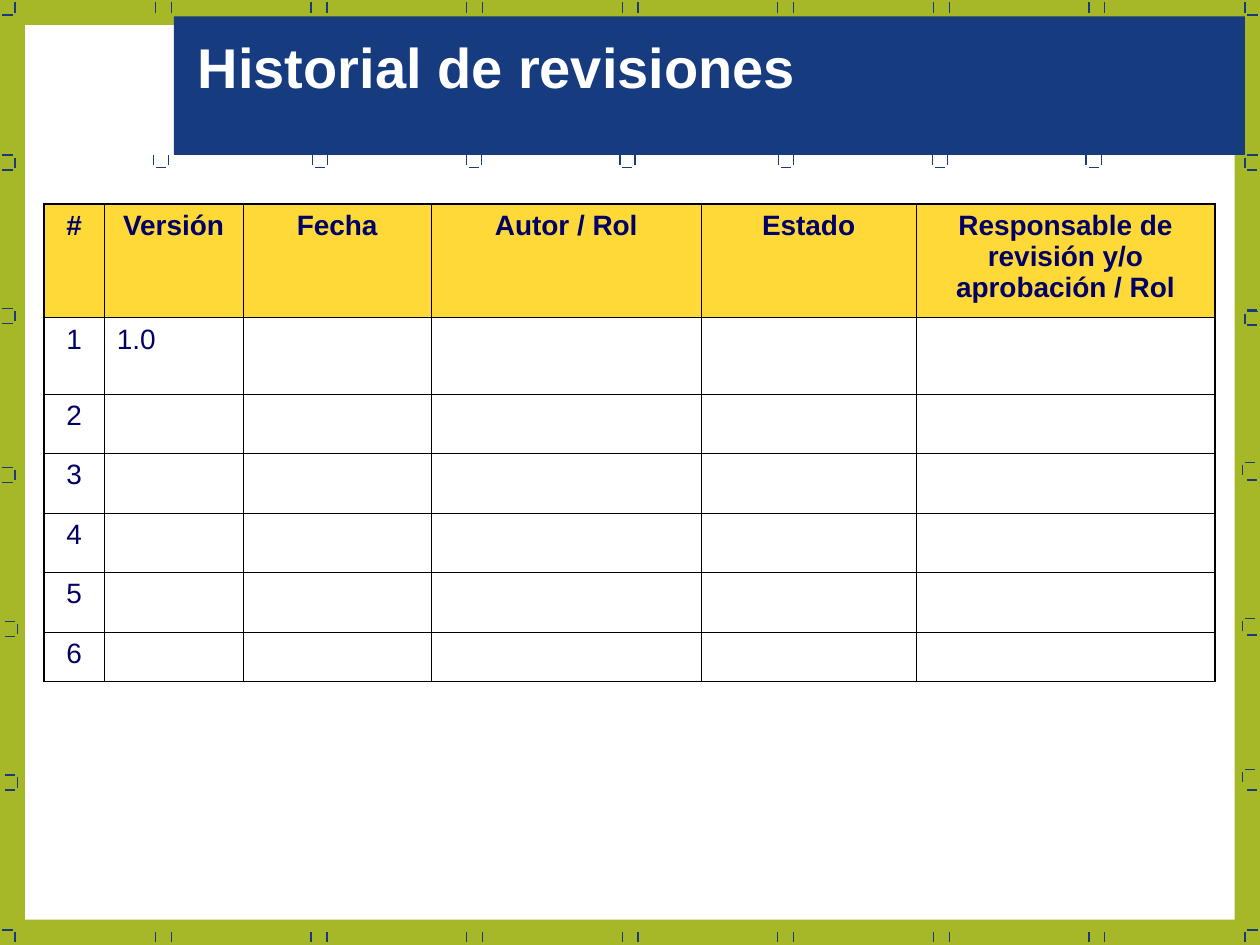
"""Build the revision history slide with its framed border and table."""
from dataclasses import dataclass

from lxml.etree import SubElement
from pptx import Presentation
from pptx.dml.color import RGBColor
from pptx.enum.shapes import MSO_CONNECTOR as Connector, MSO_SHAPE as Shape
from pptx.enum.text import MSO_ANCHOR as Anchor, MSO_AUTO_SIZE as AutoSize, PP_ALIGN as Align
from pptx.oxml.ns import qn
from pptx.util import Pt

TITLE = "Historial de revisiones"
HEADERS = ["#", "Versión", "Fecha", "Autor / Rol", "Estado",
           "Responsable de revisión y/o aprobación / Rol"]
VERSIONS = ["1.0", "", "", "", "", ""]
ROWS = [HEADERS] + [[str(number), version, "", "", "", ""]
                    for number, version in enumerate(VERSIONS, 1)]

WIDTH, HEIGHT = 720, 540
PANEL = (14.4, 14.4, 691.2, 511.2)
BAND = (99.36, 9.36, 612, 79.2)
TITLE_BOX = (105.84, 15.12, 356.4, 46.08)
TABLE_LEFT, TABLE_TOP = 25.2, 116.64
COLUMN_WIDTHS = [34.4, 79.2, 107.8, 154.1, 122.8, 170.8]
ROW_HEIGHTS = [64.8, 43.7, 34, 34, 34, 34, 28.4]

STROKE, GAP = 5.76, 1.44
SPAN = STROKE + 2 * GAP
EDGE_START, EDGE_STEP, EDGE_COUNT, EDGE_PAIR = 97.9, 88.9, 7, 9
TOP_EDGE, BOTTOM_EDGE = GAP, HEIGHT - GAP - STROKE
CORNERS = [(SPAN, TOP_EDGE, SPAN), (SPAN, BOTTOM_EDGE, BOTTOM_EDGE - GAP),
           (711.4, TOP_EDGE, SPAN), (711.4, BOTTOM_EDGE, BOTTOM_EDGE - GAP)]
LEFT_BRACKETS = [(1.44, 88.56), (1.44, 176.4), (1.44, 267.12), (2.88, 354.96), (2.88, 442.8)]
RIGHT_BRACKETS = [(711.4, 88.56), (711.4, 177.84), (709.9, 264.24), (709.9, 353.52),
                  (709.9, 439.92)]
RIGHT_DASHES = [97.2, 177.1, 185.8, 274.3, 362.9, 451.4]
BAND_CUPS = [87.84, 178.56, 266.4, 354.24, 444.96, 532.8, 620.64]
CUP_TOP = 88.56


@dataclass(frozen=True)
class Theme:
    green: RGBColor = RGBColor.from_string("A6B727")
    blue: RGBColor = RGBColor.from_string("163B7F")
    white: RGBColor = RGBColor.from_string("FFFFFF")
    yellow: RGBColor = RGBColor.from_string("FFD937")
    navy: RGBColor = RGBColor.from_string("000066")
    border: str = "000000"
    font: str = "Arial"
    title_size: float = 32
    table_size: float = 16
    stroke: float = 0.75
    inner_border: float = 0.45
    outer_border: float = 1.08


THEME = Theme()


def points(values):
    return [Pt(value) for value in values]


def set_font(paragraph, size, color, bold):
    font = paragraph.font
    font.name, font.size, font.bold = THEME.font, Pt(size), bold
    font.color.rgb = color


def add_block(slide, box, color):
    shape = slide.shapes.add_shape(Shape.RECTANGLE, *points(box))
    shape.shadow.inherit = False
    shape.fill.solid()
    shape.fill.fore_color.rgb = color
    shape.line.fill.background()


def add_stroke(slide, left, top, vertical):
    right, bottom = (left, top + STROKE) if vertical else (left + STROKE, top)
    connector = slide.shapes.add_connector(
        Connector.STRAIGHT, *points((left, top, right, bottom)))
    connector.line.color.rgb = THEME.blue
    connector.line.width = Pt(THEME.stroke)
    SubElement(connector.element.spPr, qn("a:effectLst"))


def border_strokes():
    """Yield left, top and direction of each border stroke."""
    for index in range(EDGE_COUNT):
        right = EDGE_START + index * EDGE_STEP
        for left in (right - EDGE_PAIR, right):
            for top in (TOP_EDGE, BOTTOM_EDGE):
                yield left, top, True
    for left, top, dash_top in CORNERS:
        yield left, top, True
        yield (GAP if left < WIDTH / 2 else left + GAP), dash_top, False
    for left, top in LEFT_BRACKETS:
        yield left, top, False
        yield left + STROKE + GAP, top + GAP, True
        yield left, top + SPAN, False
    for left, top in RIGHT_BRACKETS:
        yield left, top + GAP, True
        yield left + GAP, top, False
    for top in RIGHT_DASHES:
        yield WIDTH - GAP - STROKE, top, False
    for left in BAND_CUPS:
        yield left, CUP_TOP, True
        yield left + SPAN, CUP_TOP, True
        yield left + GAP, CUP_TOP + STROKE + GAP, False


def format_title(slide):
    title = slide.shapes.title
    title.left, title.top, title.width, title.height = points(TITLE_BOX)
    frame = title.text_frame
    frame.text = TITLE
    frame.word_wrap = False
    frame.auto_size = AutoSize.SHAPE_TO_FIT_TEXT
    frame.vertical_anchor = Anchor.TOP
    paragraph = frame.paragraphs[0]
    paragraph.alignment = Align.LEFT
    set_font(paragraph, THEME.title_size, THEME.white, True)
    title.element.getparent().append(title.element)


def set_borders(cell, outer_sides):
    properties = cell._tc.get_or_add_tcPr()
    for position, side in enumerate("LRTB"):
        width = THEME.outer_border if side in outer_sides else THEME.inner_border
        line = properties.makeelement(qn(f"a:ln{side}"), {"w": str(Pt(width))})
        fill = SubElement(line, qn("a:solidFill"))
        SubElement(fill, qn("a:srgbClr"), val=THEME.border)
        properties.insert(position, line)


def add_history_table(slide):
    box = (TABLE_LEFT, TABLE_TOP, sum(COLUMN_WIDTHS), sum(ROW_HEIGHTS))
    table = slide.shapes.add_table(len(ROWS), len(HEADERS), *points(box)).table
    table.first_row = table.horz_banding = False
    for column, width in zip(table.columns, COLUMN_WIDTHS):
        column.width = Pt(width)
    for row, height in zip(table.rows, ROW_HEIGHTS):
        row.height = Pt(height)
    last_row, last_column = len(ROWS) - 1, len(HEADERS) - 1
    for row_index, texts in enumerate(ROWS):
        for column_index, text in enumerate(texts):
            cell = table.cell(row_index, column_index)
            header = row_index == 0
            cell.text = text
            paragraph = cell.text_frame.paragraphs[0]
            centred = header or column_index == 0
            paragraph.alignment = Align.CENTER if centred else Align.LEFT
            set_font(paragraph, THEME.table_size, THEME.navy, header)
            if header:
                cell.fill.solid()
                cell.fill.fore_color.rgb = THEME.yellow
            else:
                cell.fill.background()
            edges = {"L": column_index == 0, "R": column_index == last_column,
                     "T": header, "B": row_index == last_row}
            set_borders(cell, [side for side, outer in edges.items() if outer])


def main():
    presentation = Presentation()
    presentation.slide_width, presentation.slide_height = Pt(WIDTH), Pt(HEIGHT)
    slide = presentation.slides.add_slide(presentation.slide_layouts[5])
    background = slide.background.fill
    background.solid()
    background.fore_color.rgb = THEME.green
    add_block(slide, PANEL, THEME.white)
    add_block(slide, BAND, THEME.blue)
    for left, top, vertical in border_strokes():
        add_stroke(slide, left, top, vertical)
    format_title(slide)
    add_history_table(slide)
    presentation.save("out.pptx")


if __name__ == "__main__":
    main()
